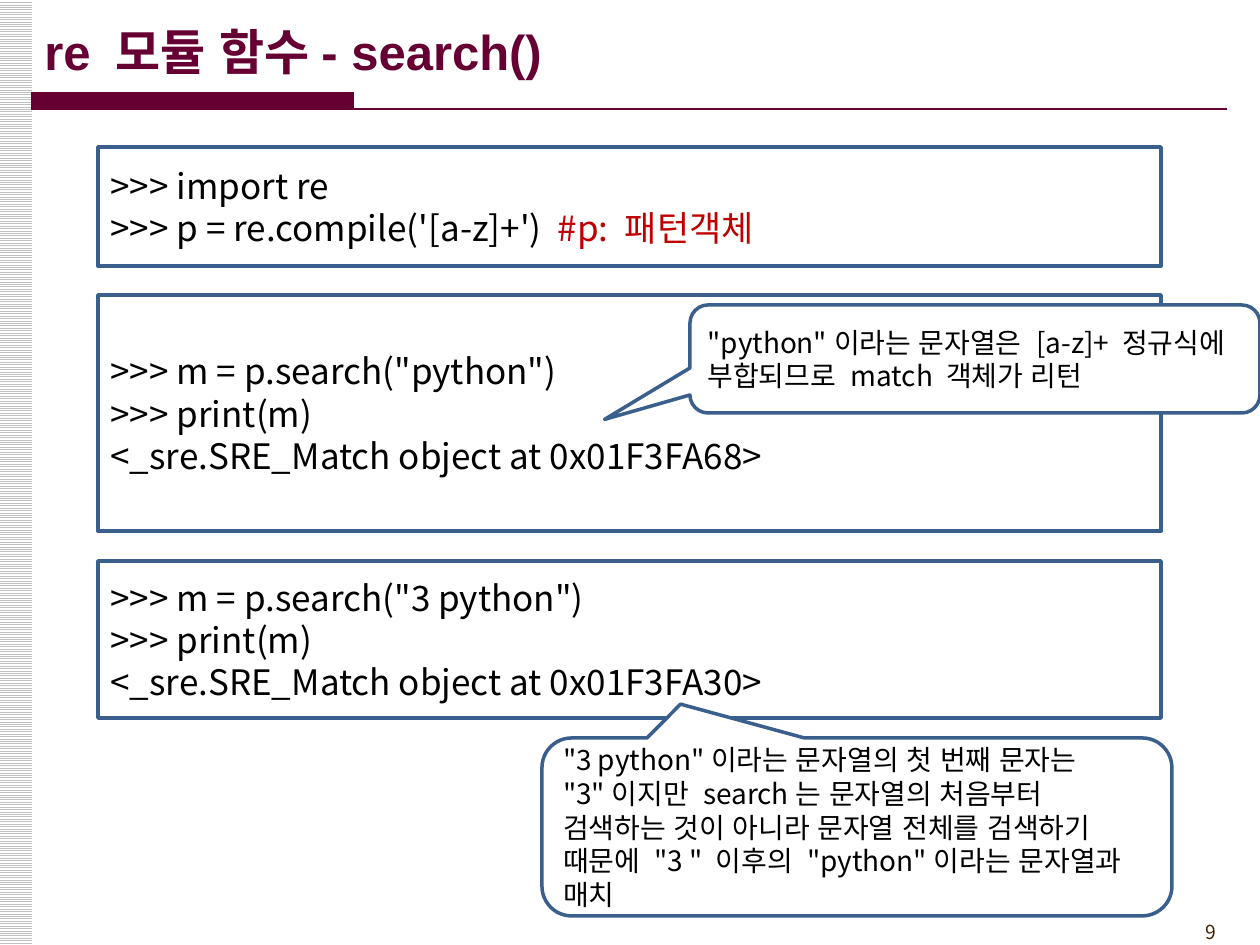
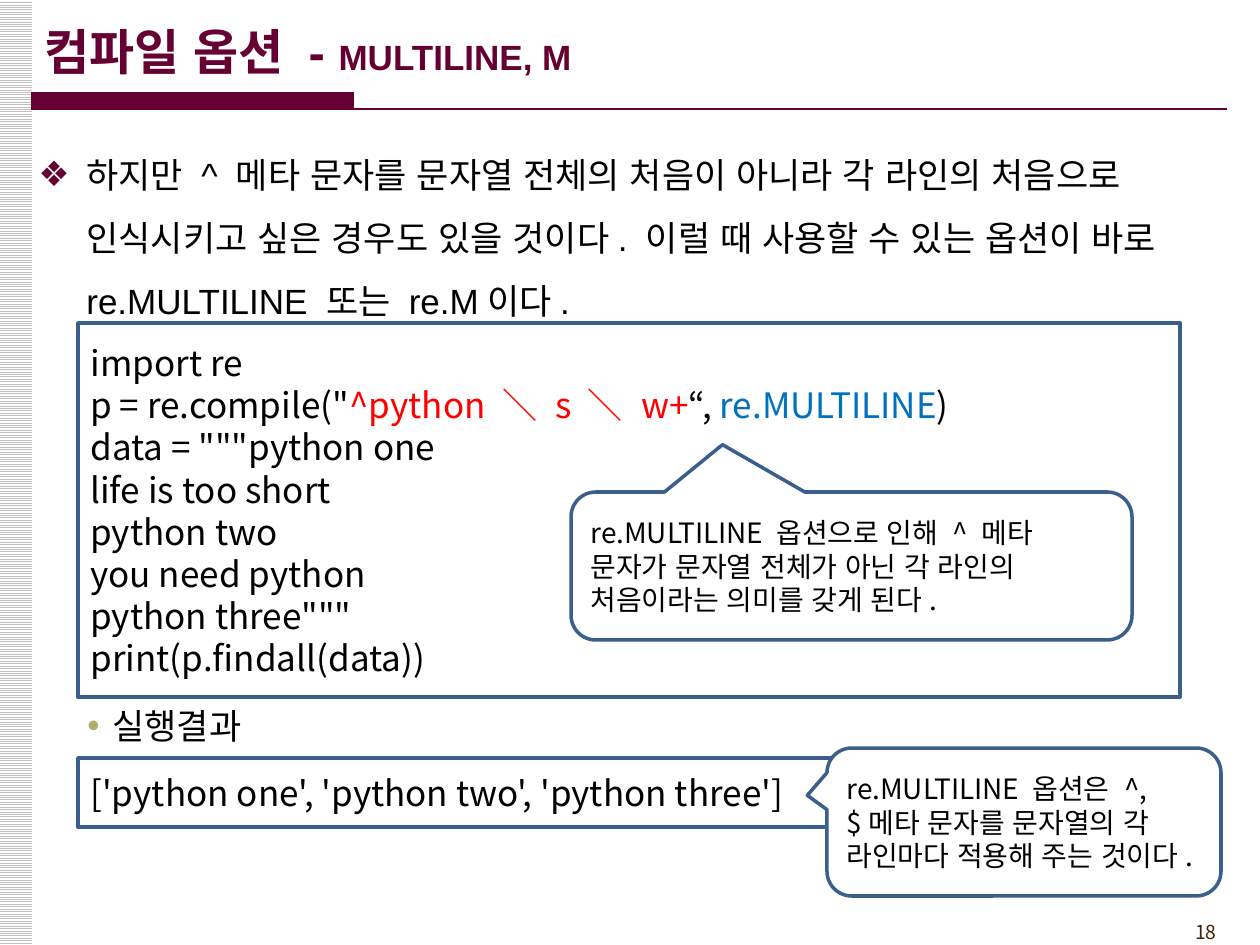
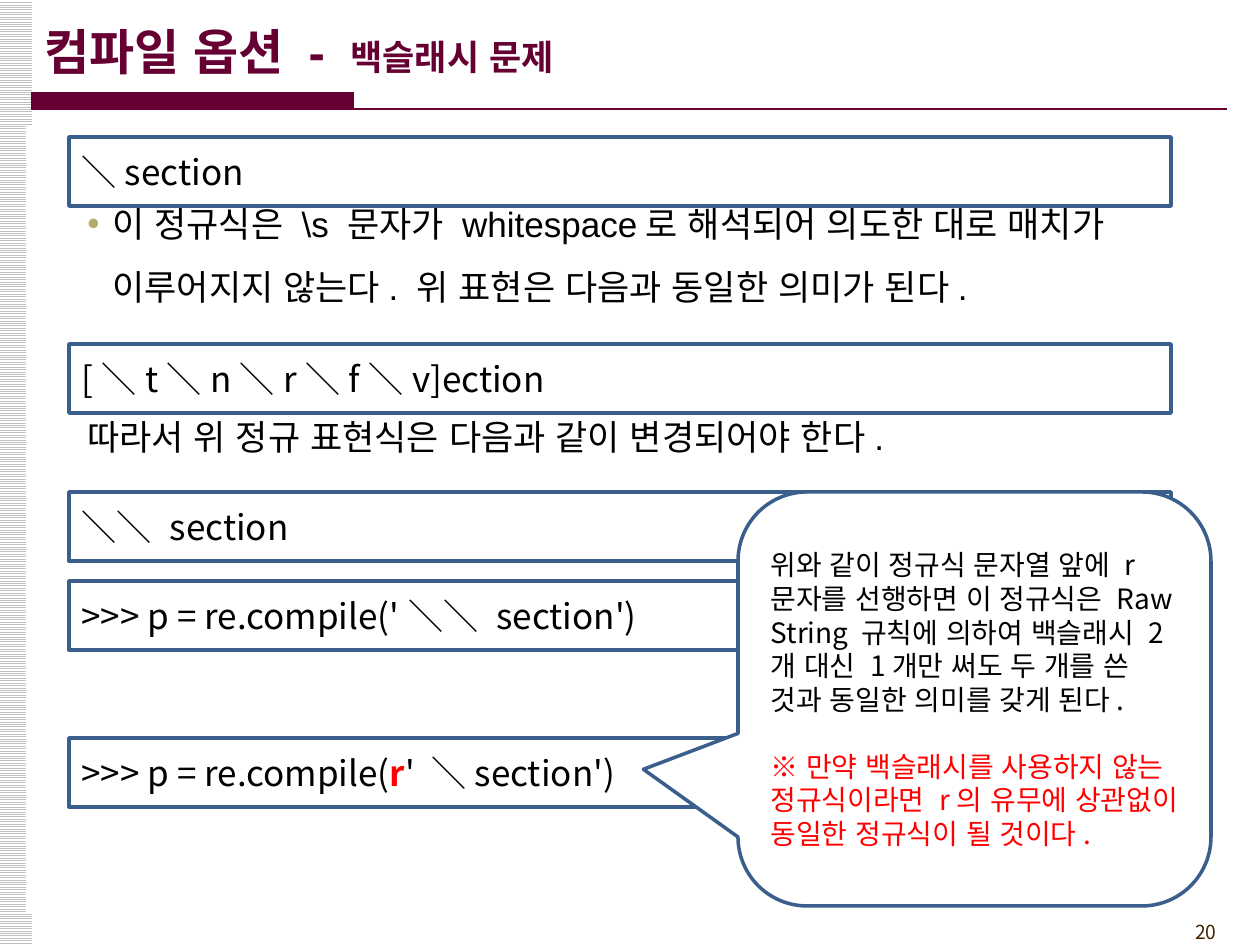
from dataclasses import dataclass
from typing import NamedTuple, Sequence

import lxml.etree
import pptx
import pptx.dml.color
import pptx.enum.dml
import pptx.enum.lang
import pptx.enum.shapes
import pptx.enum.text
import pptx.oxml.ns
import pptx.util

PX = 914400 / 126
SHAPE = pptx.enum.shapes.MSO_SHAPE
MIDDLE = pptx.enum.text.MSO_ANCHOR.MIDDLE
LEFT = pptx.enum.text.PP_ALIGN.LEFT
RIGHT = pptx.enum.text.PP_ALIGN.RIGHT

HEADING_FONT = "Arial"
CODE_FONT = "Noto Sans CJK KR"
MAROON, OUTLINE, OLIVE, BROWN = "660033", "3A5F8C", "B1AE6B", "452103"
BLACK, WHITE, GRAY = "000000", "FFFFFF", "C0C0C0"
RED, DARK_RED, BLUE = "FF0000", "C00000", "0070C0"


class Box(NamedTuple):
    left: int
    top: int
    width: int
    height: int


class Run(NamedTuple):
    text: str
    color: str = BLACK
    bold: bool = False
    size: int = 0


Line = Sequence[Run]


class Level(NamedTuple):
    margin: int
    hanging: int
    bullet: str = ""
    bullet_color: str = ""


MAIN_POINT = Level(48, 48, "❖", MAROON)
SUB_POINT = Level(74, 25, "•", OLIVE)
SUB_TEXT = Level(74, 25)


@dataclass
class Point:
    text: str
    level: Level
    space_before: int = 0


@dataclass
class Body:
    points: list[Point]
    top_inset: int = 6
    fill: str = ""


@dataclass
class Code:
    box: Box
    lines: list[Line]


@dataclass
class Callout:
    box: Box
    tip: tuple[float, float]
    lines: list[Line]
    gap: int = 0


@dataclass
class Page:
    number: int
    title: Line
    codes: list[Code]
    callouts: list[Callout]
    body: Body | None = None


def emu(px: int) -> pptx.util.Emu:
    return pptx.util.Emu(round(px * PX))


def place(box: Box) -> list[pptx.util.Emu]:
    return [emu(length) for length in box]


def rgb(color: str) -> pptx.dml.color.RGBColor:
    return pptx.dml.color.RGBColor.from_string(color)


def plain(*texts: str) -> list[Line]:
    return [[Run(text)] for text in texts]


def write(frame, lines: Sequence[Line], size: int, font: str = CODE_FONT,
          align=LEFT) -> None:
    """Fill a text frame with one paragraph per line of runs."""
    frame.word_wrap = True
    for index, line in enumerate(lines):
        paragraph = frame.add_paragraph() if index else frame.paragraphs[0]
        paragraph.alignment = align
        for part in line:
            run = paragraph.add_run()
            run.text = part.text
            run.font.size = pptx.util.Pt(part.size or size)
            run.font.bold = part.bold
            run.font.color.rgb = rgb(part.color)
            run.font.name = font
            run.font.language_id = pptx.enum.lang.MSO_LANGUAGE_ID.KOREAN
            lxml.etree.SubElement(run._r.get_or_add_rPr(),
                                  pptx.oxml.ns.qn("a:ea"), typeface=CODE_FONT)


def add_text(slide, box: Box):
    return slide.shapes.add_textbox(*place(box))


def add_panel(slide, kind, box: Box, fill: str = "", outline: str = ""):
    panel = slide.shapes.add_shape(kind, *place(box))
    panel.shadow.inherit = False
    if fill:
        panel.fill.solid()
        panel.fill.fore_color.rgb = rgb(fill)
    else:
        panel.fill.background()
    if outline:
        panel.line.color.rgb = rgb(outline)
        panel.line.width = pptx.util.Pt(2)
    else:
        panel.line.fill.background()
    return panel


def add_frame(slide, page: Page) -> None:
    """Draw the side band, page number, title and title rule."""
    band = add_panel(slide, SHAPE.RECTANGLE, Box(-1, 0, 33, 945))
    band.fill.patterned()
    band.fill.pattern = pptx.enum.dml.MSO_PATTERN.LIGHT_HORIZONTAL
    band.fill.fore_color.rgb = rgb(GRAY)
    band.fill.back_color.rgb = rgb(WHITE)

    number = add_text(slide, Box(1124, 914, 105, 37))
    write(number.text_frame, [[Run(str(page.number), BROWN)]], 11, align=RIGHT)

    add_panel(slide, SHAPE.RECTANGLE, Box(31, 92, 323, 18), MAROON)
    rule = slide.shapes.add_connector(pptx.enum.shapes.MSO_CONNECTOR.STRAIGHT,
                                      emu(31), emu(109), emu(1227), emu(109))
    rule.line.color.rgb = rgb(MAROON)
    rule.line.width = pptx.util.Pt(1.5)
    lxml.etree.SubElement(rule._element.spPr, pptx.oxml.ns.qn("a:effectLst"))

    title = add_text(slide, Box(32, 11, 1189, 79))
    title.text_frame.vertical_anchor = MIDDLE
    heading = [run._replace(color=MAROON, bold=True) for run in page.title]
    write(title.text_frame, [heading], 28, HEADING_FONT)


def set_level(paragraph, level: Level) -> None:
    properties = paragraph._p.get_or_add_pPr()
    properties.set("marL", str(emu(level.margin)))
    properties.set("indent", str(-emu(level.hanging)))
    if level.bullet:
        qn = pptx.oxml.ns.qn
        color = lxml.etree.SubElement(properties, qn("a:buClr"))
        lxml.etree.SubElement(color, qn("a:srgbClr"), val=level.bullet_color)
        lxml.etree.SubElement(properties, qn("a:buFont"), typeface=HEADING_FONT)
        lxml.etree.SubElement(properties, qn("a:buChar"), char=level.bullet)


def add_body(slide, body: Body) -> None:
    area = add_text(slide, Box(26, 126, 1197, 788))
    if body.fill:
        area.fill.solid()
        area.fill.fore_color.rgb = rgb(body.fill)
    frame = area.text_frame
    frame.margin_top = emu(body.top_inset)
    write(frame, plain(*(point.text for point in body.points)), 20, HEADING_FONT)
    for paragraph, point in zip(frame.paragraphs, body.points):
        set_level(paragraph, point.level)
        paragraph.line_spacing = 1.5
        if point.space_before:
            paragraph.space_before = pptx.util.Pt(point.space_before)


def add_code(slide, code: Code) -> None:
    panel = add_panel(slide, SHAPE.RECTANGLE, code.box, outline=OUTLINE)
    write(panel.text_frame, code.lines, 20)


def add_callout(slide, callout: Callout) -> None:
    bubble = add_panel(slide, SHAPE.ROUNDED_RECTANGULAR_CALLOUT, callout.box,
                       WHITE, OUTLINE)
    for index, value in enumerate((*callout.tip, 0.167)):
        bubble.adjustments[index] = value
    write(bubble.text_frame, callout.lines, 16)
    for paragraph in bubble.text_frame.paragraphs[1:]:
        paragraph.space_before = pptx.util.Pt(callout.gap)


def wide_code(left: int, top: int, height: int, lines: list[Line]) -> Code:
    return Code(Box(left, top, 1102, height), lines)


def search_code(top: int, height: int, lines: list[Line]) -> Code:
    return Code(Box(98, top, 1063, height), lines)


def search_result(call: str, address: str) -> list[Line]:
    return plain(f">>> m = p.search({call})", ">>> print(m)",
                 f"<_sre.SRE_Match object at {address}>")


SEARCH = Page(
    9,
    [Run("re 모듈 함수- search()")],
    [
        search_code(147, 119, [
            [Run(">>> import re")],
            [Run(">>> p = re.compile('[a-z]+')  "), Run("#p: 패턴객체", DARK_RED)],
        ]),
        search_code(295, 236, search_result('"python"', "0x01F3FA68")),
        search_code(561, 157, search_result('"3 python"', "0x01F3FA30")),
    ],
    [
        Callout(Box(542, 738, 630, 178), (-0.28, -0.69), plain(
            '"3 python"이라는 문자열의 첫 번째 문자는 "3"이지만 search는 문자열의 '
            '처음부터 검색하는 것이 아니라 문자열 전체를 검색하기 때문에 "3 " 이후의 '
            '"python"이라는 문자열과 매치')),
        Callout(Box(690, 305, 570, 108), (-0.65, 0.56), plain(
            '"python"이라는 문자열은 [a-z]+ 정규식에 부합되므로 match 객체가 리턴')),
    ],
)

MULTILINE = Page(
    18,
    [Run("컴파일 옵션 - "), Run("MULTILINE, M", size=20)],
    [
        wide_code(78, 323, 374, [
            [Run("import re")],
            [Run('p = re.compile("'), Run("^python ＼ s ＼ w+", RED), Run("“, "),
             Run("re.MULTILINE", BLUE), Run(")")],
            *plain('data = """python one', "life is too short", "python two",
                   "you need python", 'python three"""',
                   "print(p.findall(data))"),
        ]),
        wide_code(78, 758, 69, plain("['python one', 'python two', 'python three']")),
    ],
    [
        Callout(Box(571, 492, 561, 148), (-0.23, -0.82), plain(
            "re.MULTILINE 옵션으로 인해 ^ 메타 문자가 문자열 전체가 아닌 각 라인의 "
            "처음이라는 의미를 갖게 된다.")),
        Callout(Box(827, 748, 394, 148), (-0.55, -0.18), plain(
            "re.MULTILINE 옵션은 ^, $메타 문자를 문자열의 각 라인마다 적용해 주는 "
            "것이다.")),
    ],
    Body([
        Point("하지만 ^ 메타 문자를 문자열 전체의 처음이 아니라 각 라인의 처음으로 "
              "인식시키고 싶은 경우도 있을 것이다. 이럴 때 사용할 수 있는 옵션이 바로 "
              "re.MULTILINE 또는 re.M이다.", MAIN_POINT),
        Point("실행결과", SUB_POINT, 207),
    ]),
)

BACKSLASH_CODE: dict[int, Line] = {
    137: [Run("＼section")],
    344: [Run("[＼t＼n＼r＼f＼v]ection")],
    492: [Run("＼＼ section")],
    581: [Run(">>> p = re.compile('＼＼ section')")],
    738: [Run(">>> p = re.compile("), Run("r", RED, True), Run("' ＼section')")],
}

BACKSLASH = Page(
    20,
    [Run("컴파일 옵션 - "), Run("백슬래시 문제", size=20)],
    [wide_code(69, top, 69, [line]) for top, line in BACKSLASH_CODE.items()],
    [
        Callout(Box(738, 492, 473, 414), (-0.7, 0.17), [
            [Run("위와 같이 정규식 문자열 앞에 r문자를 선행하면 이 정규식은 Raw String "
                 "규칙에 의하여 백슬래시 2개 대신 1개만 써도 두 개를 쓴 것과 동일한 "
                 "의미를 갖게 된다.")],
            [Run("※ 만약 백슬래시를 사용하지 않는 정규식이라면 r의 유무에 상관없이 "
                 "동일한 정규식이 될 것이다.", RED)],
        ], gap=19),
    ],
    Body([
        Point("이 정규식은 \\s 문자가 whitespace로 해석되어 의도한 대로 매치가 "
              "이루어지지 않는다. 위 표현은 다음과 동일한 의미가 된다.", SUB_POINT),
        Point("따라서 위 정규 표현식은 다음과 같이 변경되어야 한다.", SUB_TEXT, 50),
    ], top_inset=55, fill=WHITE),
)


def main() -> None:
    deck = pptx.Presentation()
    deck.slide_width, deck.slide_height = emu(1260), emu(945)
    for page in (SEARCH, MULTILINE, BACKSLASH):
        slide = deck.slides.add_slide(deck.slide_layouts[6])
        add_frame(slide, page)
        if page.body:
            add_body(slide, page.body)
        for code in page.codes:
            add_code(slide, code)
        for callout in page.callouts:
            add_callout(slide, callout)
    deck.save("out.pptx")


if __name__ == "__main__":
    main()
